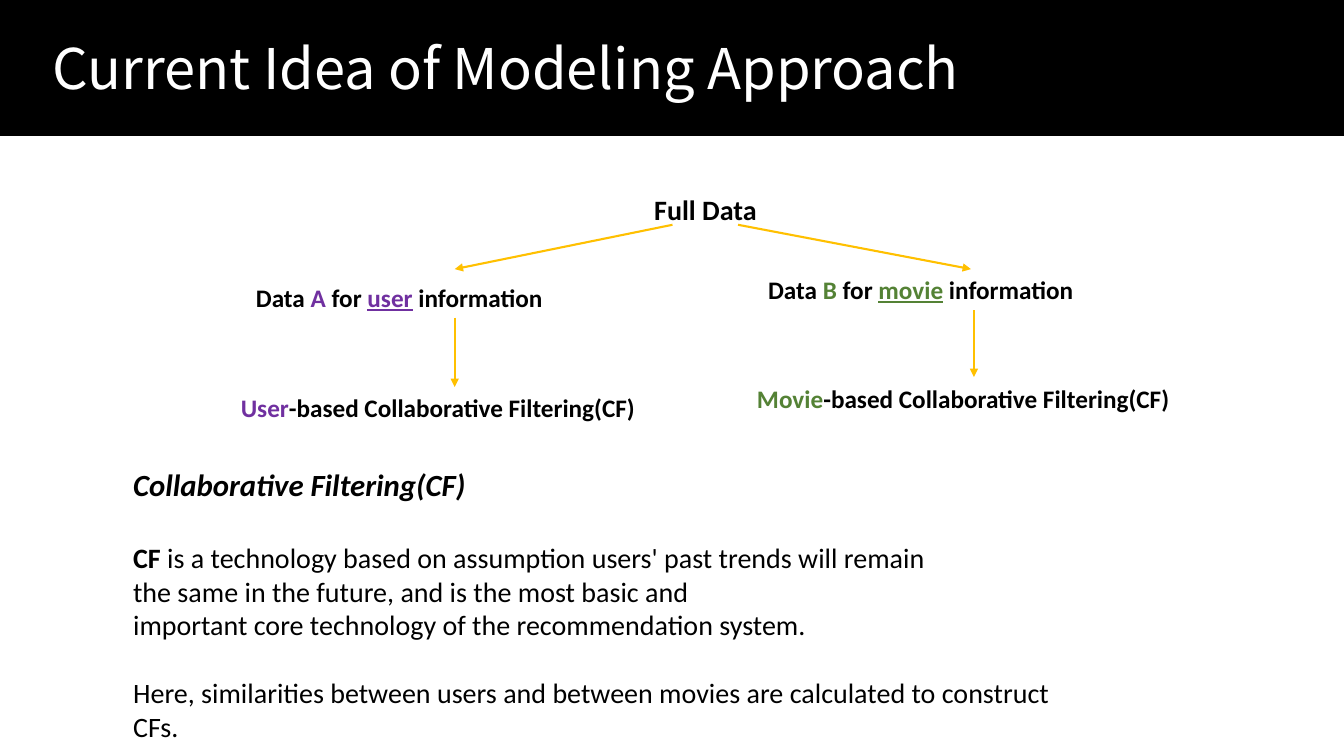
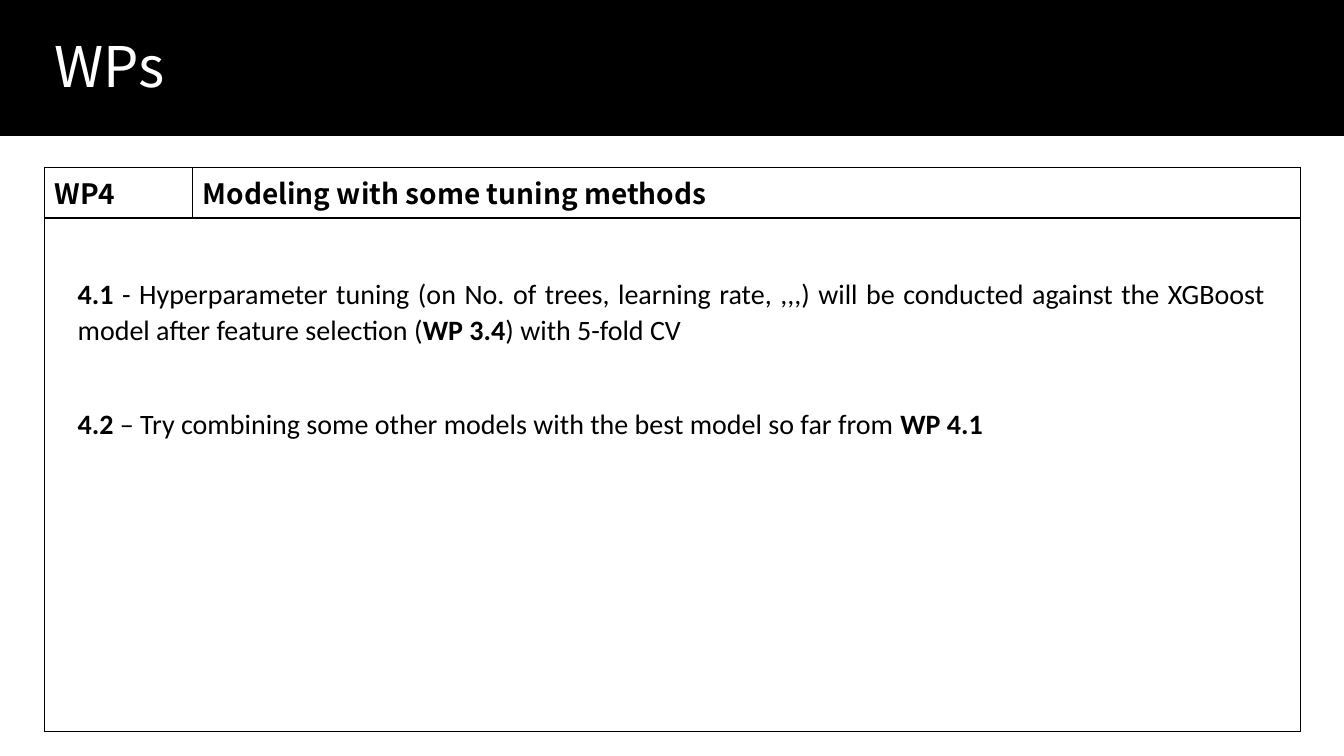
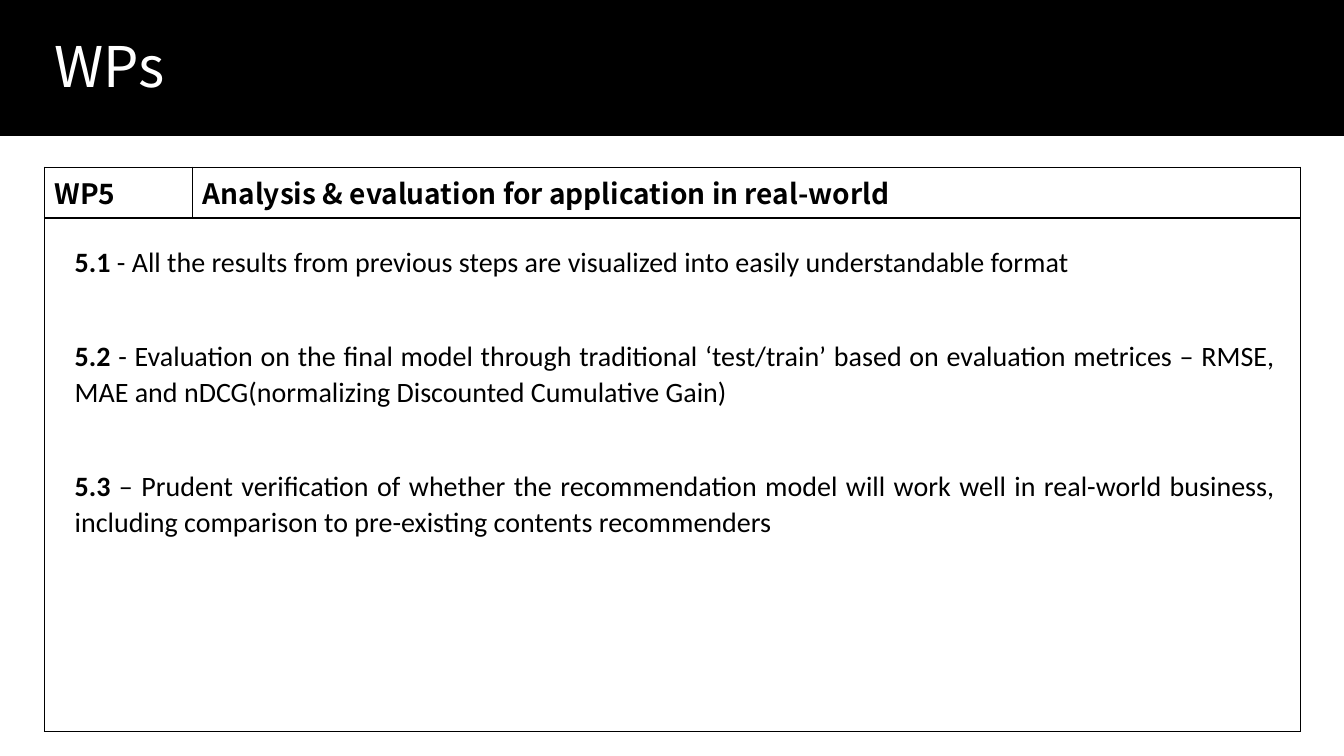
from dataclasses import dataclass

from lxml import etree
from pptx import Presentation
from pptx.dml.color import RGBColor
from pptx.enum import shapes, text
from pptx.oxml import ns
from pptx.util import Inches, Pt

BLACK = RGBColor(0x00, 0x00, 0x00)
WHITE = RGBColor(0xFF, 0xFF, 0xFF)
PURPLE = RGBColor(0x70, 0x30, 0xA0)
GREEN = RGBColor(0x54, 0x82, 0x35)
AMBER = RGBColor(0xFF, 0xC0, 0x00)

BODY_FONT = "Calibri"
HEADING_FONT = "Noto Sans CJK KR"

SLIDE_WIDTH, SLIDE_HEIGHT = 13.33, 7.5
BAND_HEIGHT = 1.34
TITLE_HEIGHT = 0.77


@dataclass
class Run:
    text: str
    bold: bool = False
    color: RGBColor = BLACK
    italic: bool = False
    underline: bool = False


def bold(words, color=BLACK, **style):
    return Run(words, True, color, **style)


def inches(*lengths):
    return [Inches(length) for length in lengths]


def place(shape, left, top, width, height):
    shape.left, shape.top, shape.width, shape.height = inches(left, top, width, height)


def add_runs(paragraph, runs, size, font=BODY_FONT):
    for item in runs:
        run = paragraph.add_run()
        run.text = item.text
        run.font.name = font
        run.font.size = Pt(size)
        run.font.bold = item.bold
        run.font.italic = item.italic
        run.font.underline = item.underline
        run.font.color.rgb = item.color


def add_titled_slide(presentation, title_text, left, top, width):
    """Add a slide with the black band behind its white title."""
    slide = presentation.slides.add_slide(presentation.slide_layouts[1])
    title = slide.shapes.title
    place(title, left, top, width, TITLE_HEIGHT)
    frame = title.text_frame
    frame.auto_size = text.MSO_AUTO_SIZE.NONE
    frame.vertical_anchor = text.MSO_ANCHOR.MIDDLE
    frame.paragraphs[0].alignment = text.PP_ALIGN.LEFT
    add_runs(frame.paragraphs[0], [Run(title_text, color=WHITE)], 40, HEADING_FONT)

    band = slide.shapes.add_shape(
        shapes.MSO_SHAPE.RECTANGLE, *inches(0, 0, SLIDE_WIDTH, BAND_HEIGHT))
    band.shadow.inherit = False
    band.fill.solid()
    band.fill.fore_color.rgb = BLACK
    band.line.color.rgb = BLACK
    band.line.width = Pt(1)
    title.element.addprevious(band.element)
    return slide


def fill_body(slide, box, paragraphs, line_spacing=1.0, alignment=text.PP_ALIGN.LEFT):
    """Fill the body placeholder from (runs, size, space after) entries."""
    body = slide.placeholders[1]
    place(body, *box)
    frame = body.text_frame
    frame.auto_size = text.MSO_AUTO_SIZE.NONE
    for index, (runs, size, space_after) in enumerate(paragraphs):
        paragraph = frame.add_paragraph() if index else frame.paragraphs[0]
        properties = paragraph._p.get_or_add_pPr()
        properties.set("marL", "0")
        properties.set("indent", "0")
        etree.SubElement(properties, ns.qn("a:buNone"))
        paragraph.alignment = alignment
        paragraph.line_spacing = line_spacing
        paragraph.space_before = Pt(0)
        paragraph.space_after = Pt(space_after)
        add_runs(paragraph, runs, size)


def add_label(slide, box, runs, size=18):
    label = slide.shapes.add_textbox(*inches(*box))
    label.text_frame.word_wrap = True
    add_runs(label.text_frame.paragraphs[0], runs, size)
    return label


def add_arrow(slide, start, end):
    arrow = slide.shapes.add_connector(
        shapes.MSO_CONNECTOR.STRAIGHT, *inches(*start, *end))
    arrow.line.color.rgb = AMBER
    arrow.line.width = Pt(1.5)
    line = arrow.line._get_or_add_ln()
    etree.SubElement(line, ns.qn("a:tailEnd"), type="triangle")
    etree.SubElement(arrow.element.spPr, ns.qn("a:effectLst"))
    return arrow


def set_cell_borders(cell):
    properties = cell._tc.get_or_add_tcPr()
    for index, side in enumerate(("lnL", "lnR", "lnT", "lnB")):
        border = etree.Element(ns.qn(f"a:{side}"), w=str(Pt(1)))
        fill = etree.SubElement(border, ns.qn("a:solidFill"))
        etree.SubElement(fill, ns.qn("a:srgbClr"), val=str(BLACK))
        properties.insert(index, border)


def add_package_table(slide, headings):
    """Add a two-column heading row above one merged, empty cell."""
    columns, rows = (1.47, 10.99), (0.49, 5.09)
    table = slide.shapes.add_table(
        2, 2, *inches(0.44, 1.66, sum(columns), sum(rows))).table
    table.first_row = table.horz_banding = False
    for column, width in zip(table.columns, columns):
        column.width = Inches(width)
    for row, height in zip(table.rows, rows):
        row.height = Inches(height)
    for cell in table.iter_cells():
        cell.fill.background()
        set_cell_borders(cell)
    for index, heading in enumerate(headings):
        paragraph = table.cell(0, index).text_frame.paragraphs[0]
        add_runs(paragraph, [bold(heading)], 20, HEADING_FONT)
    table.cell(1, 0).merge(table.cell(1, 1))


def add_package_slide(presentation, headings, box, tasks):
    slide = add_titled_slide(presentation, "WPs", 0.44, 0.26, 2.79)
    add_package_table(slide, headings)
    fill_body(slide, box, [(runs, 20, 41.5) for runs in tasks],
              line_spacing=1.07, alignment=text.PP_ALIGN.JUSTIFY)


def add_modeling_slide(presentation):
    slide = add_titled_slide(
        presentation, "Current Idea of Modeling Approach", 0.42, 0.28, 10.71)
    fill_body(slide, (1.22, 4.57, 9.74, 2.52), [
        ([bold("Collaborative Filtering(CF)", italic=True)], 22, 27),
        ([bold("CF"), Run(" is a technology based on assumption users' past trends "
                          "will remain")], 20, 0),
        ([Run("the same in the future, and is the most basic and")], 20, 0),
        ([Run("important core technology of the recommendation system.")], 20, 24.4),
        ([Run("Here, similarities between users and between movies are calculated "
              "to construct CFs.")], 20, 0),
    ])

    add_label(slide, (6.39, 1.86, 4.14, 0.44), [bold("Full Data")], 20)
    branches = [
        ("A", "user", PURPLE, (2.44, 2.75, 4.14, 0.4), (2.29, 3.84, 4.44, 0.4)),
        ("B", "movie", GREEN, (7.52, 2.67, 4.44, 0.4), (7.41, 3.75, 4.44, 0.4)),
    ]
    labels = []
    for letter, subject, color, data_box, filter_box in branches:
        data = add_label(slide, data_box, [
            bold("Data "), bold(letter, color), bold(" for "),
            bold(subject, color, underline=True), bold(" information")])
        filtering = add_label(slide, filter_box, [
            bold(subject.capitalize(), color),
            bold("-based Collaborative Filtering(CF)")])
        labels.append((data, filtering))

    add_arrow(slide, (6.67, 2.23), (4.51, 2.67))
    add_arrow(slide, (7.32, 2.23), (9.63, 2.67))
    add_arrow(slide, (9.66, 3.08), (9.66, 3.74))
    user_data, user_filtering = labels[0]
    user_arrow = add_arrow(slide, (4.51, 3.16), (4.51, 3.82))
    user_arrow.begin_connect(user_data, 2)
    user_arrow.end_connect(user_filtering, 0)


def main():
    presentation = Presentation()
    presentation.slide_width, presentation.slide_height = inches(SLIDE_WIDTH, SLIDE_HEIGHT)
    add_modeling_slide(presentation)
    add_package_slide(
        presentation, ("WP4", "Modeling with some tuning methods"),
        (0.67, 2.67, 11.98, 2.18), [
            [bold("4.1"),
             Run(" - Hyperparameter tuning (on No. of trees, learning rate, ,,,) will be "
                 "conducted against the XGBoost model after feature selection ("),
             bold("WP 3.4"), Run(") with 5-fold CV")],
            [bold("4.2 "),
             Run("– Try combining some other models with the best model so far from "),
             bold("WP 4.1")],
        ])
    add_package_slide(
        presentation, ("WP5", "Analysis & evaluation for application in real-world"),
        (0.64, 2.35, 12.11, 3.49), [
            [bold("5.1"),
             Run(" - All the results from previous steps are visualized into easily "
                 "understandable format")],
            [bold("5.2"),
             Run(" - Evaluation on the final model through traditional ‘test/train’ based "
                 "on evaluation metrices – RMSE, MAE and nDCG(normalizing Discounted "
                 "Cumulative Gain)")],
            [bold("5.3"),
             Run(" – Prudent verification of whether the recommendation model will work "
                 "well in real-world business, including comparison to pre-existing "
                 "contents recommenders")],
        ])
    presentation.save("out.pptx")


if __name__ == "__main__":
    main()
